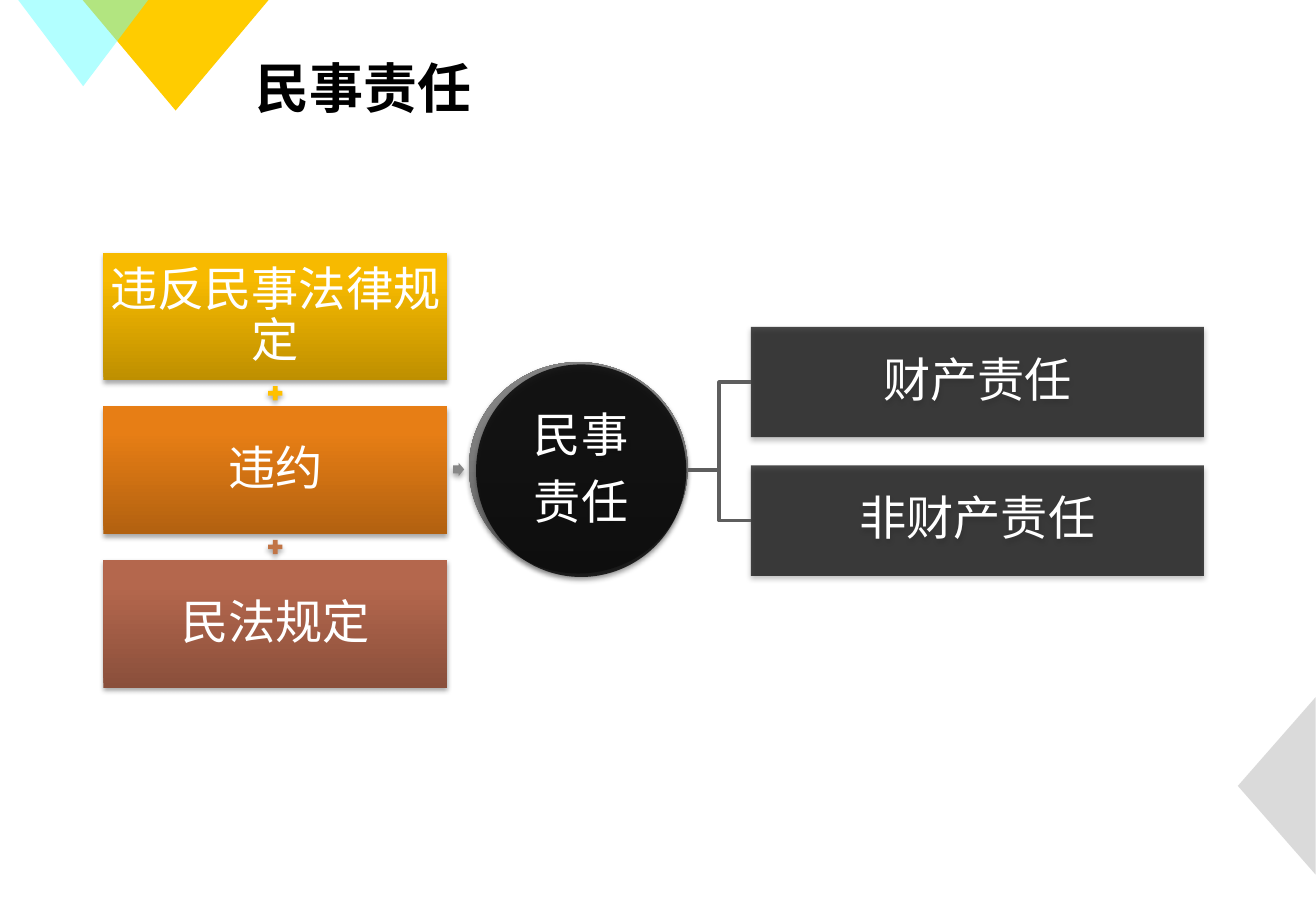
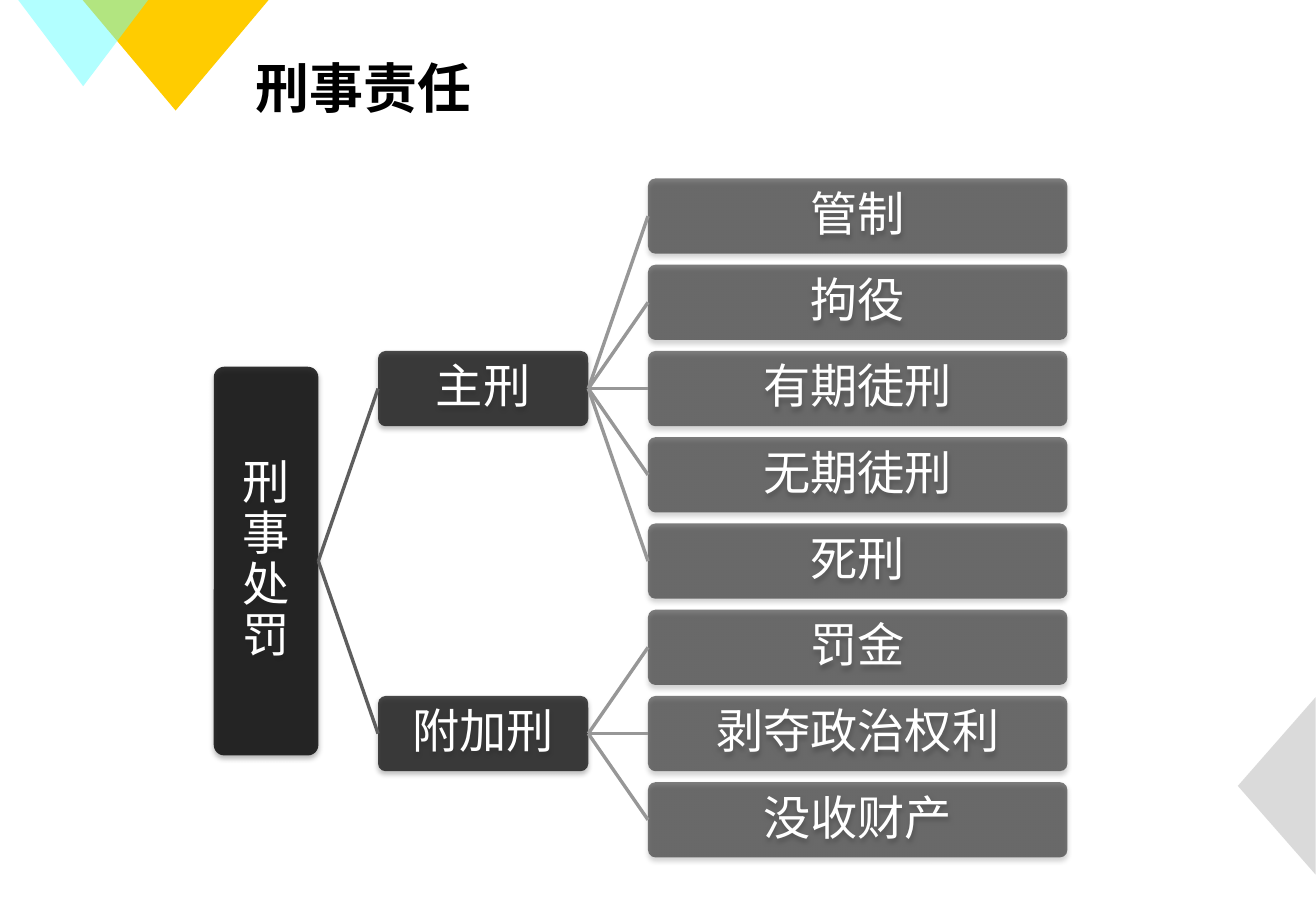
from lxml.etree import SubElement
from pptx import Presentation
from pptx.dml.color import RGBColor
from pptx.enum.shapes import MSO_CONNECTOR as LINK, MSO_SHAPE as SHAPE
from pptx.enum.text import MSO_ANCHOR as ANCHOR, PP_ALIGN as ALIGN
from pptx.oxml.ns import qn
from pptx.util import Pt

FONT = "Noto Sans CJK SC"
WHITE, BLACK = "FFFFFF", "000000"
DARK_LINE, LIGHT_LINE = "5E5E5E", "979797"
SHADOW = {"blurRad": Pt(3.1), "dist": Pt(1.8), "dir": 90 * 60000,
          "algn": "ctr", "rotWithShape": 0}


def rgb(value):
    return RGBColor.from_string(value)


def style_run(run, size, color, bold=False):
    for name, value in {"name": FONT, "size": Pt(size), "bold": bold}.items():
        setattr(run.font, name, value)
    run.font.color.rgb = rgb(color)
    SubElement(run.font._element, qn("a:ea")).set("typeface", FONT)


def paint(shape, color, opacity=100):
    """Fill with one colour, or with a (bottom, top) pair as a gradient."""
    shape.line.fill.background()
    if isinstance(color, tuple):
        shape.fill.gradient()
        shape.fill.gradient_angle = 90
        for stop, stop_color, position in zip(shape.fill.gradient_stops, color, (0, 0.8)):
            stop.color.rgb = rgb(stop_color)
            stop.position = position
        return
    shape.fill.solid()
    shape.fill.fore_color.rgb = rgb(color)
    if opacity < 100:
        srgb = shape._element.spPr.find(".//" + qn("a:srgbClr"))
        SubElement(srgb, qn("a:alpha")).set("val", str(opacity * 1000))


def add_figure(slide, kind, box, color, opacity=100, adjustments=(), shadow=True):
    shape = slide.shapes.add_shape(kind, *map(Pt, box))
    for index, value in enumerate(adjustments):
        shape.adjustments[index] = value
    paint(shape, color, opacity)
    shape.shadow.inherit = False
    if shadow:
        effects = shape._element.spPr.find(qn("a:effectLst"))
        outer = SubElement(effects, qn("a:outerShdw"),
                           {key: str(value) for key, value in SHADOW.items()})
        srgb = SubElement(outer, qn("a:srgbClr"), val=BLACK)
        SubElement(srgb, qn("a:alpha")).set("val", "35000")
    return shape


def write(shape, *lines, inset=1.5):
    frame = shape.text_frame
    frame.word_wrap = True
    frame.vertical_anchor = ANCHOR.MIDDLE
    for side in ("left", "top", "right", "bottom"):
        setattr(frame, "margin_" + side, Pt(inset))
    for index, line in enumerate(lines):
        paragraph = frame.add_paragraph() if index else frame.paragraphs[0]
        for name, value in {"alignment": ALIGN.CENTER, "line_spacing": 0.9,
                            "space_after": Pt(9.8)}.items():
            setattr(paragraph, name, value)
        run = paragraph.add_run()
        run.text = line
        style_run(run, 28, WHITE)
    return shape


def add_link(slide, kind, start, target, color):
    """Line from a point, or from a box's right side, to the target's left side."""
    begin = (0, 0) if not isinstance(start, tuple) else map(Pt, start)
    link = slide.shapes.add_connector(kind, *begin, target.left,
                                      target.top + target.height // 2)
    if not isinstance(start, tuple):
        link.begin_connect(start, 3)
    link.end_connect(target, 1)
    link.line.color.rgb = rgb(color)
    link.line.width = Pt(2)
    SubElement(link._element.spPr, qn("a:effectLst"))


def decorate_layout(layout, slide):
    """Give the layout its corner triangles and its title place."""
    for spare in list(layout.placeholders)[1:]:
        spare._element.getparent().remove(spare._element)
    title = layout.placeholders[0]
    place = zip(("left", "top", "width", "height"), (144, 26, 561, 51))
    for name, value in place:
        setattr(title, name, Pt(value))
    triangles = []
    for box, turn, color, opacity in (
            ((49, 0, 110.2, 65.5), 180, "FFCC00", 100),
            ((10.8, 0, 77, 51.1), 180, "66FFFF", 50),
            ((704.2, 442.8, 105.1, 46.1), 270, "B7B7B7", 50)):
        triangle = add_figure(slide, SHAPE.ISOSCELES_TRIANGLE, box, color, opacity,
                              shadow=False)
        triangle.rotation = turn
        triangles.append(triangle._element)
    for offset, element in enumerate(triangles):
        layout.shapes._spTree.insert(2 + offset, element)


def set_title(slide, text):
    title = slide.shapes.title
    title.text_frame.vertical_anchor = ANCHOR.MIDDLE
    paragraph = title.text_frame.paragraphs[0]
    paragraph.alignment = ALIGN.LEFT
    run = paragraph.add_run()
    run.text = text
    style_run(run, 32, BLACK, bold=True)


def add_causes(slide, left, top, width, height):
    """Stack of causes with plus signs centred in the gaps."""
    causes = (("违反民事法律规定", ("BE8F00", "F7BA00"), "FFC000"),
              ("违约", ("B26110", "E77E15"), "C17445"),
              ("民法规定", ("8A4F3B", "B4674D"), None))
    gap, plus = 15.5, 11.5
    row = (height - gap * (len(causes) - 1)) / len(causes)
    for index, (text, colors, plus_color) in enumerate(causes):
        y = top + index * (row + gap)
        write(add_figure(slide, SHAPE.RECTANGLE, (left, y, width, row), colors),
              text, inset=2.8)
        if plus_color:
            add_figure(slide, SHAPE.MATH_PLUS,
                       (left + (width - plus) / 2, y + row + (gap - plus) / 2, plus, plus),
                       plus_color)


def add_liability_equation(slide, left, top, width, height):
    middle = top + height / 2
    add_causes(slide, left, top, 204, height)
    add_figure(slide, SHAPE.RIGHT_ARROW, (left + 207.4, middle - 4.4, 6.5, 7.9),
               "878787", adjustments=(0.6, 0.5))
    add_figure(slide, SHAPE.OVAL, (left + 216.8, middle - 64, 129.6, 125.3),
               ("656565", "838383"))
    hub = add_figure(slide, SHAPE.OVAL, (left + 221, middle - 62.7, 124.6, 126), BLACK, 80)
    write(hub, "民事", "责任")
    box_width, box_height, pitch = 268.6, 65.5, 82.1
    for index, text in enumerate(("财产责任", "非财产责任")):
        box = (left + width - box_width, middle - 85 + index * pitch, box_width, box_height)
        effect = write(add_figure(slide, SHAPE.RECTANGLE, box, BLACK, 70), text)
        add_link(slide, LINK.ELBOW, (left + 346.4, middle), effect, DARK_LINE)


def add_penalty_tree(slide, left, top, width, height):
    branches = {"主刑": ("管制", "拘役", "有期徒刑", "无期徒刑", "死刑"),
                "附加刑": ("罚金", "剥夺政治权利", "没收财产")}
    root_width, root_height, branch_width, column_gap, row_gap = 62, 230.4, 124.6, 35.4, 6.5
    branch_x = left + root_width + column_gap
    leaf_x = branch_x + branch_width + column_gap
    leaf_width = left + width - leaf_x
    leaf_count = sum(map(len, branches.values()))
    row = (height - row_gap * (leaf_count - 1)) / leaf_count
    pitch = row + row_gap

    def node(text, x, center, node_width, node_height, opacity, inset=1.5):
        box = (x, center - node_height / 2, node_width, node_height)
        return write(add_figure(slide, SHAPE.ROUNDED_RECTANGLE, box, BLACK, opacity, (0.1,)),
                     text, inset=inset)

    centers, first = [], top + row / 2
    for leaves in branches.values():
        centers.append(first + (len(leaves) - 1) / 2 * pitch)
        first += len(leaves) * pitch
    root = node("刑事处罚", left, sum(centers) / len(centers), root_width, root_height, 80, 2)
    for center, (name, leaves) in zip(centers, branches.items()):
        branch = node(name, branch_x, center, branch_width, row, 70)
        add_link(slide, LINK.STRAIGHT, root, branch, DARK_LINE)
        for index, text in enumerate(leaves):
            y = center + (index - (len(leaves) - 1) / 2) * pitch
            leaf = node(text, leaf_x, y, leaf_width, row, 50)
            add_link(slide, LINK.STRAIGHT, branch, leaf, LIGHT_LINE)


def main():
    deck = Presentation()
    deck.slide_width, deck.slide_height = Pt(780), Pt(540)
    layout = deck.slide_layouts[5]
    civil, criminal = (deck.slides.add_slide(layout) for _ in range(2))
    decorate_layout(layout, civil)
    set_title(civil, "民事责任")
    add_liability_equation(civil, 61.2, 149.8, 652.4, 257.8)
    set_title(criminal, "刑事责任")
    add_penalty_tree(criminal, 126.7, 105.8, 506, 402.5)
    deck.save("out.pptx")


if __name__ == "__main__":
    main()
